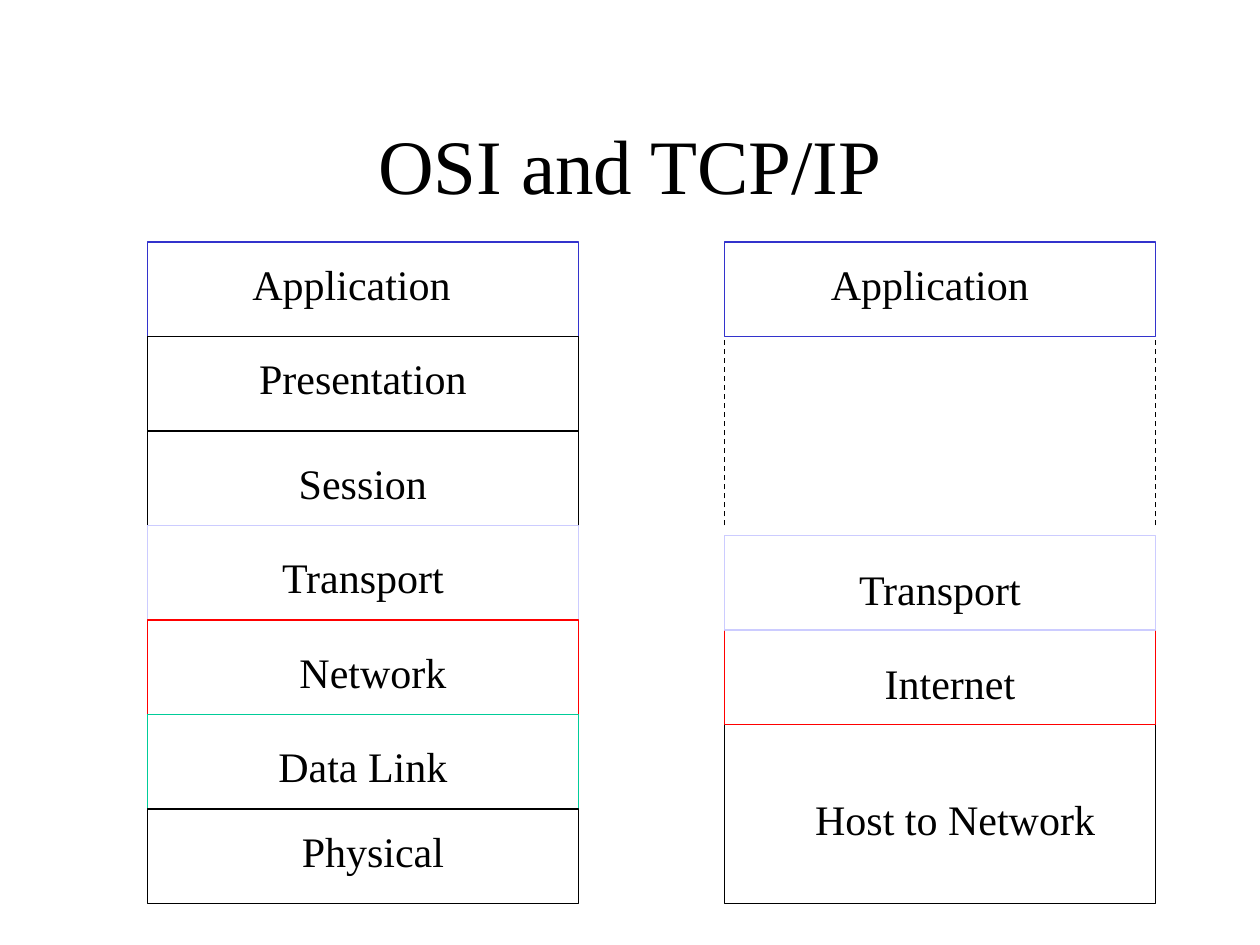
import pptx
import pptx.dml.color
import pptx.enum.dml
import pptx.enum.shapes
import pptx.enum.text
import pptx.oxml.ns
import pptx.util
from lxml import etree
from pptx.util import Inches

THEME = {
    "font": "Times New Roman",
    "title_size": 44,
    "label_size": 24,
    "line_width": 0.75,
    "black": "000000",
    "blue": "3333CC",
    "lavender": "CCCCFF",
    "red": "FF0000",
    "green": "00CC99",
}


def color(name):
    return pptx.dml.color.RGBColor.from_string(THEME[name])


def add_text(slide, text, left, top, width, height, size, anchor):
    shape = slide.shapes.add_textbox(Inches(left), Inches(top), Inches(width), Inches(height))
    shape.text_frame.word_wrap = True
    shape.text_frame.vertical_anchor = anchor
    paragraph = shape.text_frame.paragraphs[0]
    paragraph.text = text
    paragraph.alignment = pptx.enum.text.PP_ALIGN.CENTER
    formats = {"name": THEME["font"], "size": pptx.util.Pt(THEME[size])}
    for attribute, value in formats.items():
        setattr(paragraph.font, attribute, value)
    paragraph.font.color.rgb = color("black")


presentation = pptx.Presentation()
presentation.slide_width = Inches(10)
presentation.slide_height = Inches(7.5)
slide = presentation.slides.add_slide(presentation.slide_layouts[6])

# Title
add_text(slide, "OSI and TCP/IP", 0.75, 0.67, 8.5, 1.25, "title_size",
         pptx.enum.text.MSO_ANCHOR.MIDDLE)

# Layer stacks: name, line colour, label left, label offset from the layer top
stack_top = 1.92
layer_width = 3.42
layer_height = 0.75
osi_left = 1.17
tcp_left = 5.75
osi_layers = [
    ("Application", "blue", 1.33, 0.08),
    ("Presentation", "black", 1.42, 0.08),
    ("Session", "black", 1.42, 0.16),
    ("Transport", "lavender", 1.42, 0.16),
    ("Network", "red", 1.5, 0.16),
    ("Data Link", "green", 1.42, 0.16),
    ("Physical", "black", 1.5, 0.08),
]
# The TCP/IP layers also carry their own top and height, from bottom to top
tcp_layers = [
    ("Host to Network", "black", 6.12, 0.5, 5.75, 1.42),
    ("Internet", "red", 6.08, 0.17, 5, layer_height),
    ("Transport", "lavender", 6, 0.17, 4.25, layer_height),
    ("Application", "blue", 5.92, 0.08, stack_top, layer_height),
]
layers = [(osi_left, *layer, stack_top + row * layer_height, layer_height)
          for row, layer in enumerate(osi_layers)]
layers += [(tcp_left, *layer) for layer in tcp_layers]

for left, name, line_color, label_left, label_offset, top, height in layers:
    shape = slide.shapes.add_shape(pptx.enum.shapes.MSO_SHAPE.RECTANGLE, Inches(left),
                                   Inches(top), Inches(layer_width), Inches(height))
    shape.shadow.inherit = False
    shape.fill.background()
    shape.line.color.rgb = color(line_color)
    shape.line.width = pptx.util.Pt(THEME["line_width"])
    add_text(slide, name, label_left, top + label_offset, 2.92, 0.5, "label_size",
             pptx.enum.text.MSO_ANCHOR.TOP)

# Dashed sides of the gap left by the missing TCP/IP layers
gap_top = stack_top + layer_height
gap_bottom = gap_top + 2 * layer_height
for x in (tcp_left, tcp_left + layer_width):
    connector = slide.shapes.add_connector(pptx.enum.shapes.MSO_CONNECTOR.STRAIGHT, Inches(x),
                                           Inches(gap_bottom), Inches(x), Inches(gap_top))
    connector.line.color.rgb = color("black")
    connector.line.width = pptx.util.Pt(THEME["line_width"])
    connector.line.dash_style = pptx.enum.dml.MSO_LINE.DASH
    etree.SubElement(connector._element.spPr, pptx.oxml.ns.qn("a:effectLst"))

presentation.save("out.pptx")
